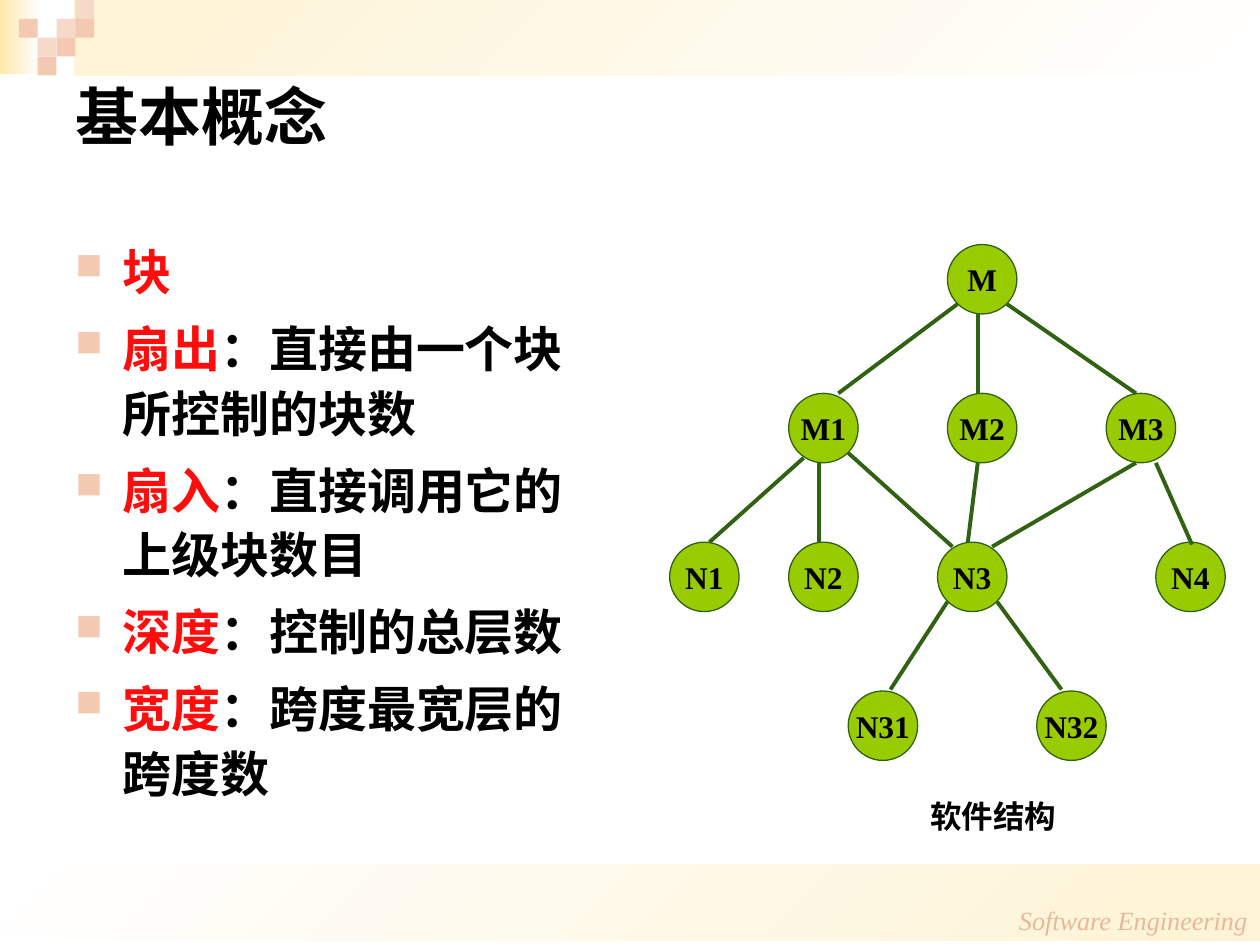
from dataclasses import dataclass

import lxml.etree
import pptx
import pptx.dml.color
import pptx.enum.shapes
import pptx.enum.text
import pptx.oxml.ns
import pptx.util
from pptx.util import Cm

FONT = "Times New Roman"
BLACK, RED = "000000", "FF0D0D"
GREEN, DARK_GREEN = "99CC00", "306212"
PEACH, PALE_PEACH, DEEP_PEACH = "F3C9B2", "F6D9C9", "E8B89C"
NODE_SIZE, TOP_LEVEL, LEVEL_STEP = 1.4, 4.93, 3.0
TILE = 0.38
SHAPE = pptx.enum.shapes.MSO_SHAPE
ALIGN = pptx.enum.text.PP_ALIGN
ANCHOR = pptx.enum.text.MSO_ANCHOR


@dataclass
class Band:
    x: float
    y: float
    w: float
    h: float
    color: str
    angle: float


@dataclass
class Tile:
    col: int
    row: int
    color: str


@dataclass
class Node:
    name: str
    x: float
    level: int


@dataclass
class Edge:
    x1: float
    y1: float
    x2: float
    y2: float


@dataclass
class Concept:
    term: str
    meaning: str = ""


BANDS = [
    Band(0, 17.42, 25.4, 1.54, "FEF3D4", 315),
    Band(1.5, 0, 23.9, 1.52, "FEF3D4", 135),
    Band(0, 0, 0.8, 1.5, "FEE8AA", 180),
]
TILES = [
    Tile(3, 1, PALE_PEACH), Tile(4, 0, PALE_PEACH), Tile(4, 1, PEACH),
    Tile(2, 2, PALE_PEACH), Tile(1, 1, PEACH), Tile(3, 2, PEACH), Tile(2, 3, PEACH),
]
NODES = [
    Node("M", 19.1, 0),
    Node("M1", 15.9, 1), Node("M2", 19.1, 1), Node("M3", 22.3, 1),
    Node("N1", 13.5, 2), Node("N2", 15.9, 2), Node("N3", 18.9, 2), Node("N4", 23.3, 2),
    Node("N31", 17.1, 3), Node("N32", 20.9, 3),
]
EDGES = [
    Edge(19.3, 6.13, 16.9, 7.93), Edge(19.71, 6.33, 19.71, 7.93),
    Edge(20.3, 6.13, 22.9, 7.93),
    Edge(16.2, 9.23, 14.3, 10.93), Edge(16.51, 9.33, 16.51, 10.93),
    Edge(17.1, 9.13, 19.2, 11.02), Edge(19.71, 9.33, 19.51, 10.93),
    Edge(22.9, 9.33, 20, 11.02), Edge(23.3, 9.33, 24.03, 10.98),
    Edge(19.1, 12.13, 17.95, 13.9), Edge(20.1, 12.13, 21.4, 13.9),
]
CONCEPTS = [
    Concept("块"),
    Concept("扇出", "：直接由一个块所控制的块数"),
    Concept("扇入", "：直接调用它的上级块数目"),
    Concept("深度", "：控制的总层数"),
    Concept("宽度", "：跨度最宽层的跨度数"),
]


def rgb(color: str) -> pptx.dml.color.RGBColor:
    return pptx.dml.color.RGBColor.from_string(color)


def add_run(p, text: str, size: float, color: str = BLACK, bold: bool = True,
            italic: bool = False) -> None:
    r = p.add_run()
    r.text = text
    r.font.name, r.font.size = FONT, pptx.util.Pt(size)
    r.font.bold, r.font.italic = bold, italic
    r.font.color.rgb = rgb(color)


def add_box(s, x: float, y: float, w: float, h: float, wrap: bool = True):
    tf = s.shapes.add_textbox(Cm(x), Cm(y), Cm(w), Cm(h)).text_frame
    tf.word_wrap = wrap
    return tf


def add_preset(s, kind, x: float, y: float, w: float, h: float):
    """Add a preset shape with no shadow and no outline."""
    sp = s.shapes.add_shape(kind, Cm(x), Cm(y), Cm(w), Cm(h))
    sp.shadow.inherit = False
    sp.line.fill.background()
    return sp


def draw_band(s, band: Band) -> None:
    sp = add_preset(s, SHAPE.RECTANGLE, band.x, band.y, band.w, band.h)
    sp.fill.gradient()
    sp.fill.gradient_angle = band.angle
    stops = sp.fill.gradient_stops
    for stop, position, color in zip(stops, (0, 1), ("FFFFFF", band.color)):
        stop.position = position
        stop.color.rgb = rgb(color)


def draw_tile(s, tile: Tile) -> None:
    sp = add_preset(s, SHAPE.RECTANGLE, tile.col * TILE, tile.row * TILE, TILE, TILE)
    sp.fill.solid()
    sp.fill.fore_color.rgb = rgb(tile.color)


def draw_node(s, node: Node) -> None:
    y = TOP_LEVEL + node.level * LEVEL_STEP
    sp = add_preset(s, SHAPE.OVAL, node.x, y, NODE_SIZE, NODE_SIZE)
    sp.fill.solid()
    sp.fill.fore_color.rgb = rgb(GREEN)
    sp.line.color.rgb = rgb(DARK_GREEN)
    sp.line.width = pptx.util.Pt(0.75)
    tf = sp.text_frame
    tf.word_wrap = False
    tf.vertical_anchor = ANCHOR.MIDDLE
    p = tf.paragraphs[0]
    p.alignment = ALIGN.CENTER
    add_run(p, node.name, 18)


def draw_edge(s, edge: Edge) -> None:
    line = s.shapes.add_connector(pptx.enum.shapes.MSO_CONNECTOR.STRAIGHT,
                                  Cm(edge.x1), Cm(edge.y1), Cm(edge.x2), Cm(edge.y2))
    line.line.color.rgb = rgb(DARK_GREEN)
    line.line.width = pptx.util.Pt(2.25)
    lxml.etree.SubElement(line._element.spPr, pptx.oxml.ns.qn("a:effectLst"))


def add_bullet(p) -> None:
    """Give the paragraph a hanging square bullet (the letter n in Wingdings)."""
    qn = pptx.oxml.ns.qn
    pPr = p._p.get_or_add_pPr()
    pPr.set("marL", str(Cm(0.95)))
    pPr.set("indent", str(-Cm(0.95)))
    color = lxml.etree.SubElement(pPr, qn("a:buClr"))
    lxml.etree.SubElement(color, qn("a:srgbClr"), val=PEACH)
    lxml.etree.SubElement(pPr, qn("a:buSzPct"), val="75000")
    lxml.etree.SubElement(pPr, qn("a:buFont"), typeface="Wingdings", charset="2")
    lxml.etree.SubElement(pPr, qn("a:buChar"), char="n")


def draw_concepts(s, concepts: list[Concept]) -> None:
    tf = add_box(s, 1.27, 4.63, 11.23, 11.68)
    for i, concept in enumerate(concepts):
        p = tf.add_paragraph() if i else tf.paragraphs[0]
        p.line_spacing = 1.1
        p.space_before = pptx.util.Pt(7)
        add_bullet(p)
        add_run(p, concept.term, 28, RED)
        if concept.meaning:
            add_run(p, concept.meaning, 28)


def main() -> None:
    prs = pptx.Presentation()
    prs.slide_width, prs.slide_height = Cm(25.4), Cm(19.05)
    s = prs.slides.add_slide(prs.slide_layouts[6])
    for band in BANDS:
        draw_band(s, band)
    for tile in TILES:
        draw_tile(s, tile)

    title = add_box(s, 1.27, 0.43, 22.86, 3.81)
    title.vertical_anchor = ANCHOR.MIDDLE
    add_run(title.paragraphs[0], "基本概念", 36)
    draw_concepts(s, CONCEPTS)

    for node in NODES:
        draw_node(s, node)
    for edge in EDGES:
        draw_edge(s, edge)
    caption = add_box(s, 18.5, 15.95, 3.05, 1.02, wrap=False).paragraphs[0]
    caption.alignment = ALIGN.CENTER
    add_run(caption, "软件结构", 18)

    footer = add_box(s, 19.4, 18.1, 6, 0.9).paragraphs[0]
    footer.alignment = ALIGN.RIGHT
    add_run(footer, "Software Engineering", 15, DEEP_PEACH, bold=False, italic=True)
    prs.save("out.pptx")


if __name__ == "__main__":
    main()
